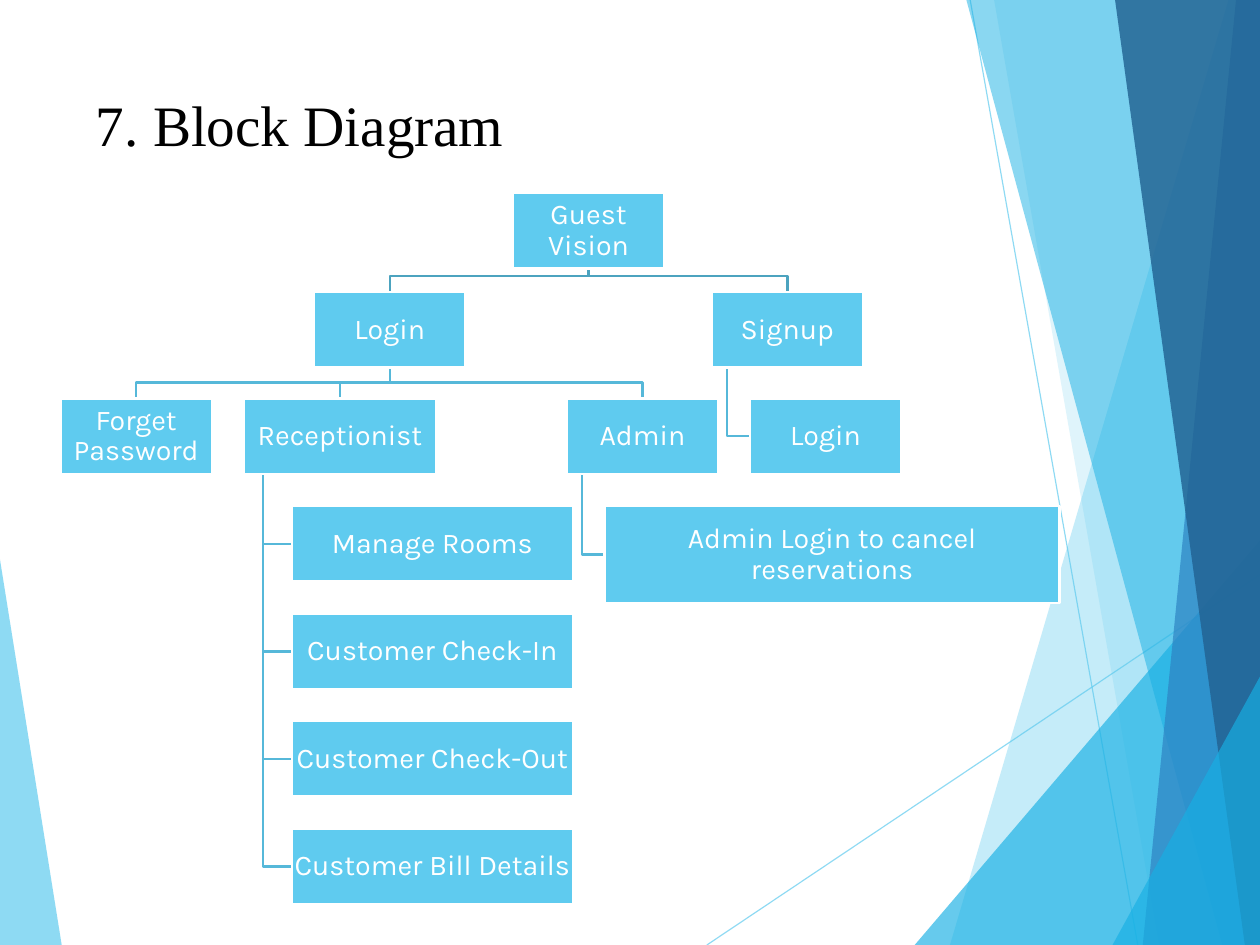
import pptx
import pptx.util
import pptx.dml.color
import pptx.enum.shapes
import pptx.enum.text
import pptx.oxml.ns
import lxml.etree
from dataclasses import dataclass

Inch, Pt, Cm = pptx.util.Inches, pptx.util.Pt, pptx.util.Cm
qn = pptx.oxml.ns.qn


@dataclass(frozen=True)
class Theme:
    sky: str = "5FCBEF"
    cyan: str = "17B0E4"
    blue: str = "2E83C3"
    navy: str = "226292"
    link: str = "56B8D9"
    root: str = "4CA3BF"
    white: str = "FFFFFF"
    black: str = "000000"
    serif: str = "Times New Roman"
    sans: str = "Karla"
    title: int = 36
    label: int = 18
    rule: float = 1.5
    hair: float = 0.75


THEME = Theme()
WIDE, HIGH = Cm(28), Cm(21)

# Right-hand facets: top x, top y, bottom x (percent of slide), colour, opacity
FACETS = [
    (97.5, 0, 75.4, THEME.sky, 36),
    (78.9, 0, 92, THEME.sky, 20),
    (100, 57.2, 72.6, THEME.cyan, 66),
    (76.7, 0, 97, THEME.cyan, 50),
    (98.1, 0, 90.7, THEME.blue, 70),
    (88.5, 0, 98.8, THEME.navy, 82),
    (100, 71.6, 88.3, THEME.cyan, 66),
]
# Thin lines: start and end in percent of slide
HAIRS = [(56.1, 100, 100, 60.8), (77, 0, 90.3, 100)]

# Tree nodes: name, text, column, row, columns wide, rows high, parent, hangs at side
NODES = [
    ("top", "Guest Vision", 11.99, 0, 4.01, 0.7, None, False),
    ("login", "Login", 6.72, 0.92, 4.01, 0.7, "top", False),
    ("forget", "Forget Password", 0, 1.91, 4.01, 0.7, "login", False),
    ("desk", "Receptionist", 4.86, 1.91, 5.09, 0.7, "login", False),
    ("rooms", "Manage Rooms", 6.13, 2.91, 7.45, 0.7, "desk", True),
    ("in", "Customer Check-In", 6.13, 3.91, 7.45, 0.7, "desk", True),
    ("out", "Customer Check-Out", 6.13, 4.91, 7.45, 0.7, "desk", True),
    ("bill", "Customer Bill Details", 6.13, 5.91, 7.45, 0.7, "desk", True),
    ("admin", "Admin", 13.42, 1.91, 4.01, 0.7, "login", False),
    ("cancel", "Admin Login to cancel reservations", 14.42, 2.91, 12.06, 0.9,
     "admin", True),
    ("signup", "Signup", 17.26, 0.92, 4.01, 0.7, "top", False),
    ("enter", "Login", 18.27, 1.91, 4.01, 0.7, "signup", True),
]


def color(name):
    return pptx.dml.color.RGBColor.from_string(name)


def fade(shape, share):
    for tint in shape.element.spPr.iter(qn("a:srgbClr")):
        lxml.etree.SubElement(tint, qn("a:alpha")).set("val", str(share * 1000))


def style(font, face, size, tint):
    font.name, font.size = face, Pt(size)
    font.color.rgb = color(tint)


def trace(slide, points, close):
    spots = [(Inch(x), Inch(y)) for x, y in points]
    pen = slide.shapes.build_freeform(*spots[0])
    pen.add_line_segments(spots[1:], close=close)
    shape = pen.convert_to_shape()
    shape.shadow.inherit = False
    return shape


def draw_back(slide, box):
    left, top, wide, high = box

    def spot(x, y):
        return left + wide * x / 100, top + high * y / 100

    def facet(points, tint, share):
        shape = trace(slide, [spot(*p) for p in points], True)
        shape.fill.solid()
        shape.fill.fore_color.rgb = color(tint)
        shape.line.fill.background()
        fade(shape, share)

    # Left wedge
    facet([(0, 59.2), (4.9, 100), (0, 100)], THEME.sky, 70)

    # Thin lines
    for x1, y1, x2, y2 in HAIRS:
        ends = [Inch(v) for v in spot(x1, y1) + spot(x2, y2)]
        line = slide.shapes.add_connector(
            pptx.enum.shapes.MSO_CONNECTOR.STRAIGHT, *ends)
        line.line.color.rgb = color(THEME.sky)
        line.line.width = Pt(THEME.hair)
        fade(line, 70)
        lxml.etree.SubElement(line.element.spPr, qn("a:effectLst"))

    # Right facets
    for x, y, foot, tint, share in FACETS:
        facet([(x, y), (foot, 100), (100, 100), (100, y)], tint, share)


def draw_title(slide, box):
    frame = slide.shapes.add_textbox(*map(Inch, box)).text_frame
    frame.word_wrap = True
    line = frame.paragraphs[0]
    line.text = "7. Block Diagram"
    style(line.font, THEME.serif, THEME.title, THEME.black)


def draw_node(slide, box, text):
    shape = slide.shapes.add_shape(
        pptx.enum.shapes.MSO_SHAPE.RECTANGLE, *map(Inch, box))
    shape.shadow.inherit = False
    shape.fill.solid()
    shape.fill.fore_color.rgb = color(THEME.sky)
    shape.line.color.rgb = color(THEME.white)
    shape.line.width = Pt(THEME.rule)
    frame = shape.text_frame
    frame.word_wrap = True
    frame.vertical_anchor = pptx.enum.text.MSO_ANCHOR.MIDDLE
    frame.margin_left = frame.margin_right = Inch(0.01)
    frame.margin_top = frame.margin_bottom = Inch(0.01)
    line = frame.paragraphs[0]
    line.text = text
    line.alignment = pptx.enum.text.PP_ALIGN.CENTER
    line.line_spacing = 0.9
    style(line.font, THEME.sans, THEME.label, THEME.white)


def draw_link(slide, start, end, side, tint):
    x, y, wide, high = start
    left, top, width, height = end
    if side:
        stem, mid = x + wide / 10, top + height / 2
        points = [(stem, y + high), (stem, mid), (left, mid)]
    else:
        stem, goal, bus = x + wide / 2, left + width / 2, top - 0.14
        points = [(stem, y + high), (stem, bus), (goal, bus), (goal, top)]
    shape = trace(slide, points, False)
    shape.fill.background()
    shape.line.color.rgb = color(tint)
    shape.line.width = Pt(THEME.rule)


def draw_tree(slide, box):
    left, top, wide, high = box
    unit, step = wide / 26.48, high / 6.61
    cells = {name: (left + col * unit, top + row * step, w * unit, h * step)
             for name, _, col, row, w, h, _, _ in NODES}

    # Links lie under the nodes
    for name, *_, boss, side in NODES:
        if boss:
            tint = THEME.root if boss == "top" else THEME.link
            draw_link(slide, cells[boss], cells[name], side, tint)

    for name, text, *_ in NODES:
        draw_node(slide, cells[name], text)


def main():
    deck = pptx.Presentation()
    deck.slide_width, deck.slide_height = WIDE, HIGH
    slide = deck.slides.add_slide(deck.slide_layouts[6])
    draw_back(slide, (0, 0, WIDE.inches, HIGH.inches))
    draw_title(slide, (0.74, 0.73, 7.65, 1.59))
    draw_tree(slide, (0.53, 1.69, 8.74, 6.22))
    deck.save("out.pptx")


if __name__ == "__main__":
    main()
